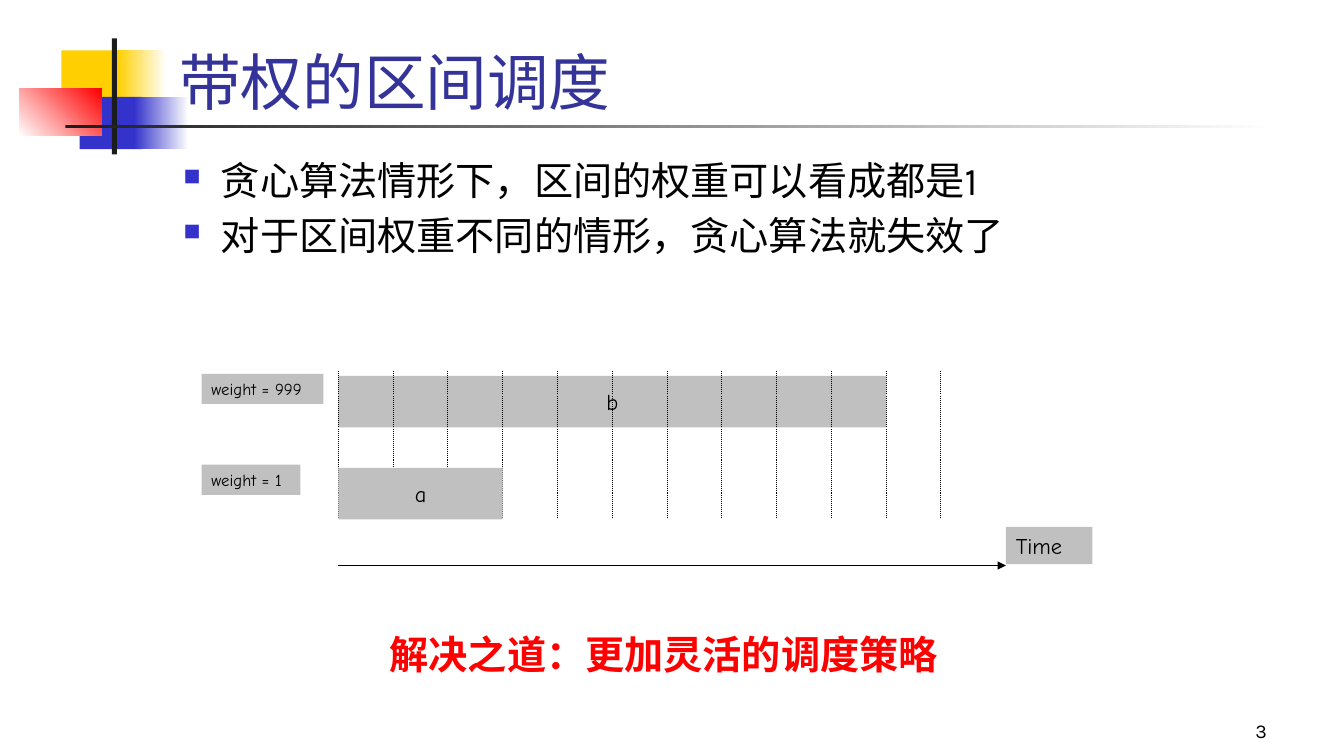
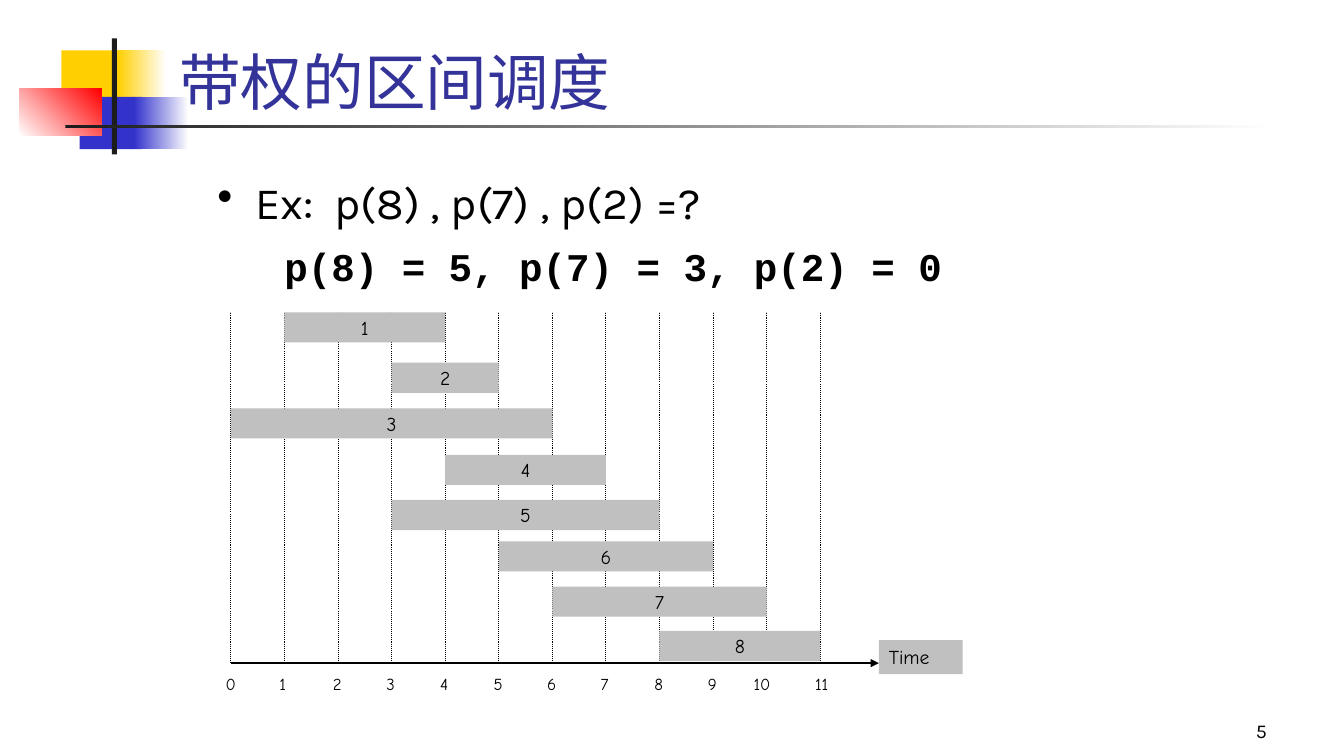
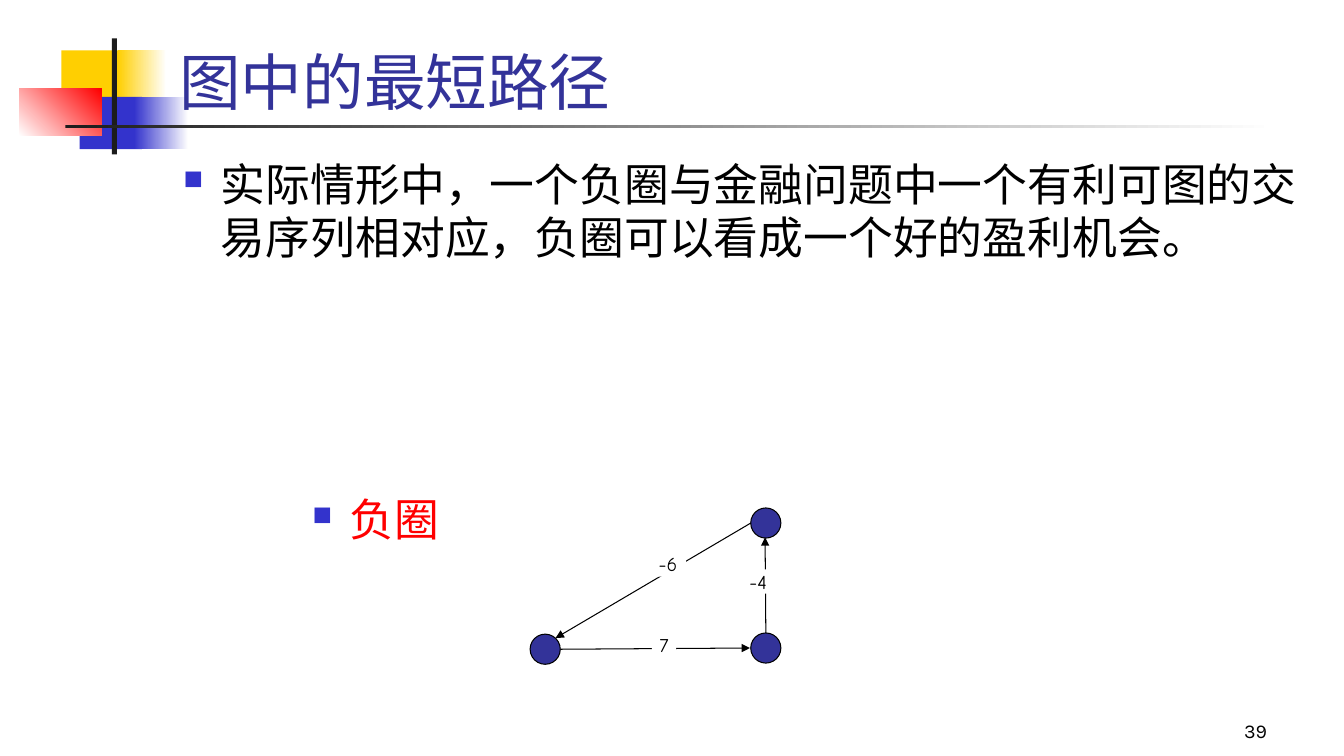
"""Build three slides on interval scheduling and shortest paths."""
from lxml import etree
from pptx import Presentation
from pptx.dml.color import RGBColor
from pptx.enum.dml import MSO_LINE
from pptx.enum.shapes import MSO_CONNECTOR, MSO_SHAPE
from pptx.enum.text import MSO_ANCHOR, PP_ALIGN
from pptx.oxml.ns import qn
from pptx.util import Cm, Pt

RECT, OVAL = MSO_SHAPE.RECTANGLE, MSO_SHAPE.OVAL
LINE, DOTS = MSO_CONNECTOR.STRAIGHT, MSO_LINE.ROUND_DOT
TOP, MID, LOW = MSO_ANCHOR.TOP, MSO_ANCHOR.MIDDLE, MSO_ANCHOR.BOTTOM
LEFT, MIDST, RIGHT = PP_ALIGN.LEFT, PP_ALIGN.CENTER, PP_ALIGN.RIGHT

HUES = {
    "gold": "FFCF01", "blue": "3333CC", "navy": "333399", "red": "FF0000",
    "ink": "1C1C1C", "black": "000000", "gray": "C0C0C0", "white": "FFFFFF",
}
BODY, NOTE, CODE = "Karla", "Comic Neue", "Courier New"
INSET = (0.25, 0.13)
BAR = 0.76
FRAME = [
    ((1.55, 1.27, 1.63, 1.32), ("gold",), 0),
    ((2.97, 1.27, 1.22, 1.32), ("gold", "white"), 0),
    ((2.01, 2.44, 1.57, 1.32), ("blue",), 0),
    ((3.38, 2.44, 1.37, 1.32), ("blue", "white"), 0),
    ((0.48, 2.24, 2.08, 1.17), ("white", "red"), 45),
    ((2.82, 0.97, 0.13, 2.92), ("ink",), 0),
    ((1.65, 3.15, 30.48, 0.08), ("ink", "white"), 0),
]


def hue(name):
    """Return a named colour."""
    return RGBColor.from_string(HUES[name])


def shape(slide, at, fills, kind=RECT, angle=0, edge=None):
    """Add a shape with a plain or two-stop fill."""
    item = slide.shapes.add_shape(kind, *map(Cm, at))
    item.shadow.inherit = False
    if len(fills) == 1:
        item.fill.solid()
        item.fill.fore_color.rgb = hue(fills[0])
    else:
        item.fill.gradient()
        item.fill.gradient_angle = angle
        for stop, name in zip(item.fill.gradient_stops, fills):
            stop.color.rgb = hue(name)
    if edge:
        item.line.color.rgb = hue(edge)
        item.line.width = Pt(0.75)
    else:
        item.line.fill.background()
    return item


def bullet(para, mark, indent, tint=None, size=100):
    """Give a paragraph a hanging bullet."""
    props = para._p.get_or_add_pPr()
    props.set("marL", str(Cm(indent)))
    props.set("indent", str(-Cm(indent)))
    if tint:
        color = etree.SubElement(props, qn("a:buClr"))
        etree.SubElement(color, qn("a:srgbClr")).set("val", HUES[tint])
    etree.SubElement(props, qn("a:buSzPct")).set("val", str(size * 1000))
    etree.SubElement(props, qn("a:buChar")).set("char", mark)


def write(item, lines, size, font=BODY, color="black", bold=False,
          align=LEFT, anchor=TOP, wrap=True, inset=INSET, mark=None):
    """Fill a shape with paragraphs, one run each."""
    frame = item.text_frame
    frame.word_wrap = wrap
    frame.vertical_anchor = anchor
    frame.margin_left = frame.margin_right = Cm(inset[0])
    frame.margin_top = frame.margin_bottom = Cm(inset[1])
    for i, line in enumerate(lines):
        para = frame.add_paragraph() if i else frame.paragraphs[0]
        para.alignment = align
        if mark:
            bullet(para, *mark)
        if i:
            para.space_before = Pt(size * 0.2)
        run = para.add_run()
        run.text = line
        run.font.name = font
        run.font.size = Pt(size)
        run.font.bold = bold
        run.font.color.rgb = hue(color)


def text(slide, at, lines, size, **style):
    """Add a text box."""
    write(slide.shapes.add_textbox(*map(Cm, at)), lines, size, **style)


def tag(slide, at, words, size, fill="gray", **style):
    """Add a filled label."""
    write(shape(slide, at, (fill,)), [words], size, font=NOTE, **style)


def line(slide, ends, width=0.75, dash=None, arrow=False):
    """Add a line, dotted or with an arrowhead on request."""
    item = slide.shapes.add_connector(LINE, *map(Cm, ends))
    item.line.color.rgb = hue("black")
    item.line.width = Pt(width)
    if dash:
        item.line.dash_style = dash
    if arrow:
        head = etree.SubElement(item.line._get_or_add_ln(), qn("a:tailEnd"))
        head.set("type", "triangle")
    etree.SubElement(item._element.spPr, qn("a:effectLst"))


def grid(slide, left, step, top, base):
    """Draw twelve dotted time marks."""
    for i in range(12):
        x = left + i * step
        line(slide, (x, base, x, top), dash=DOTS)


def bar(slide, left, step, start, span, top, height, words, size):
    """Draw one interval on a time scale."""
    at = (left + start * step, top, span * step, height)
    tag(slide, at, words, size, align=MIDST, anchor=MID, wrap=False)


def start(deck, title, number):
    """Add a slide with the shared frame, title and number."""
    slide = deck.slides.add_slide(deck.slide_layouts[6])
    for at, fills, angle in FRAME:
        shape(slide, at, fills, angle=angle)
    text(slide, (25.12, 17.58, 7.06, 1.27), [number], 14,
         align=RIGHT, anchor=LOW)
    text(slide, (4.27, -0.08, 28.85, 3.18), [title], 44,
         color="navy", anchor=LOW)
    return slide


def points(slide, lines, size):
    """Add the main list with square bullets."""
    text(slide, (4.37, 3.81, 28.78, 11.43), lines, size,
         mark=("■", 0.95, "blue", 60))


def weights(deck):
    """Build the slide on weighted intervals."""
    slide = start(deck, "带权的区间调度", "3")
    points(slide, ["贪心算法情形下，区间的权重可以看成都是1",
                   "对于区间权重不同的情形，贪心算法就失效了"], 28)
    left, step, end = 8.53, 1.38, 25.35
    line(slide, (left, 14.25, end, 14.25), 1.25, arrow=True)
    tag(slide, (end, 13.28, 2.18, 0.94), "Time", 16)
    bar(slide, left, step, 0, 10, 9.47, 1.3, "b", 16)
    grid(slide, left, step, 9.35, 13.06)
    bar(slide, left, step, 0, 3, 11.79, 1.3, "a", 16)
    tag(slide, (5.08, 9.42, 3.07, BAR), "weight = 999", 12, wrap=False)
    tag(slide, (5.08, 11.71, 2.49, BAR), "weight = 1", 12, wrap=False)
    text(slide, (8.89, 15.75, 15.67, 1.45), ["解决之道：更加灵活的调度策略"], 28,
         font=CODE, color="red", bold=True, align=MIDST)


def example(deck):
    """Build the slide with eight intervals."""
    slide = start(deck, "带权的区间调度", "5")
    text(slide, (5.23, 4.27, 21.59, 11.43), ["Ex:  p(8) , p(7) , p(2) =?"], 32,
         mark=("•", 0.95))
    left, step, base, end = 5.82, 1.35, 16.71, 22.15
    grid(slide, left, step, 7.87, base)
    for i in range(12):
        nudge = 0.2 if i == 10 else 0
        at = (left - 0.38 + i * step - nudge, 16.84, 1.14, BAR)
        tag(slide, at, str(i), 12, fill="white")
    spans = [(1, 3, 7.87), (3, 2, 9.14), (0, 6, 10.29), (4, 3, 11.46),
             (3, 5, 12.6), (5, 4, 13.64), (6, 4, 14.78), (8, 3, 15.9)]
    for i, (first, span, top) in enumerate(spans, 1):
        bar(slide, left, step, first, span, top, BAR, str(i), 14)
    line(slide, (left, base, end, base), 1.25, arrow=True)
    tag(slide, (end, 16.13, 2.11, 0.86), "Time", 14)
    text(slide, (6.91, 5.97, 17.09, 1.45), ["p(8) = 5, p(7) = 3, p(2) = 0"], 28,
         font=CODE, bold=True, align=MIDST, wrap=False)


def cycle(deck):
    """Build the slide on a negative cycle."""
    slide = start(deck, "图中的最短路径", "39")
    points(slide, ["实际情形中，一个负圈与金融问题中一个有利可图的交易序列相对应，"
                   "负圈可以看成一个好的盈利机会。"], 32)
    for x, y in [(18.92, 12.8), (18.92, 15.95), (13.36, 15.98)]:
        shape(slide, (x, y, BAR, BAR), ("navy",), OVAL, edge="black")
    for ends in [(19.3, 15.95, 19.28, 13.54), (14.12, 16.36, 18.9, 16.33),
                 (18.92, 13.18, 14, 16.08)]:
        line(slide, ends, arrow=True)
    for x, y, wide, cost in [(16.38, 13.92, 0.91, "-6"),
                             (16.43, 15.95, 0.61, "7"),
                             (18.62, 14.35, 0.97, "-4")]:
        tag(slide, (x, y, wide, 0.61), cost, 14, fill="white",
            align=MIDST, inset=(0, 0))
    text(slide, (7.62, 12.27, 6.35, 1.6), ["负圈"], 32, color="red",
         mark=("■", 0.95, "blue", 60))


def main():
    """Build and save the deck."""
    deck = Presentation()
    deck.slide_width, deck.slide_height = Cm(33.87), Cm(19.05)
    weights(deck)
    example(deck)
    cycle(deck)
    deck.save("out.pptx")


if __name__ == "__main__":
    main()
